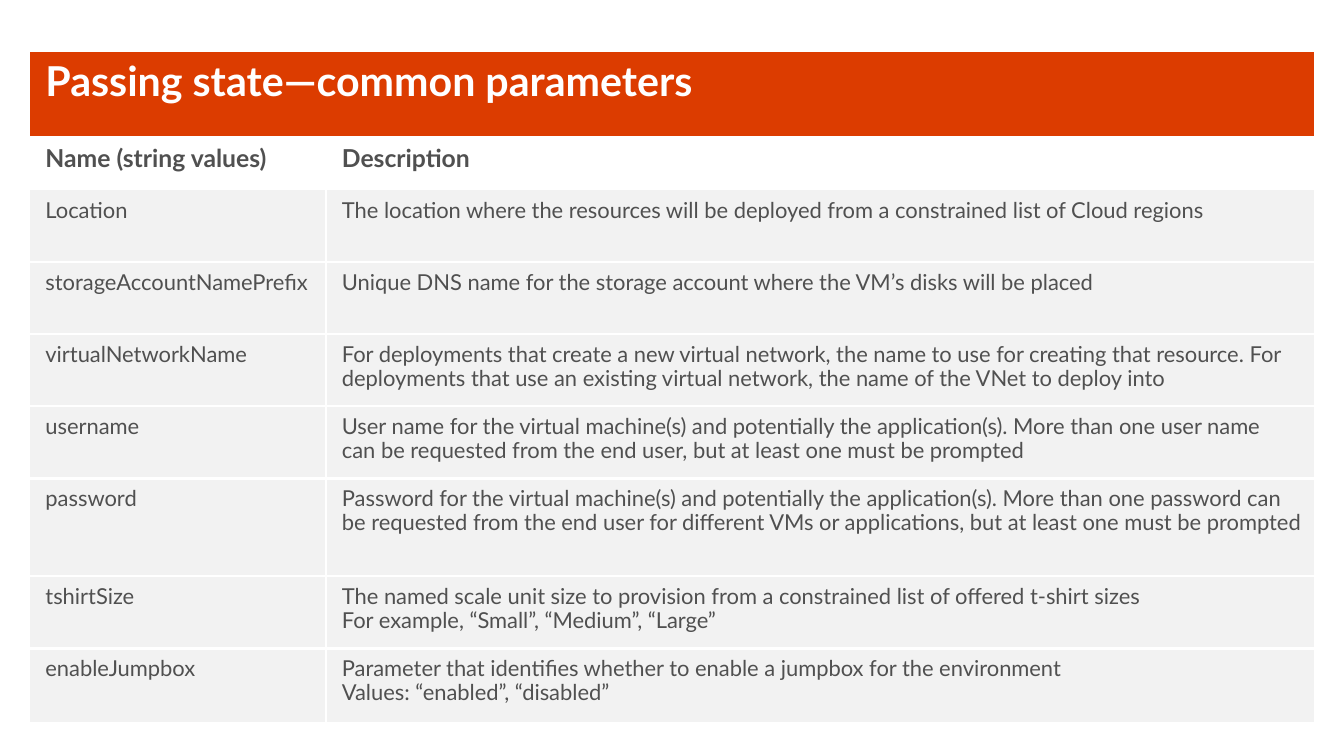
from dataclasses import dataclass

from lxml import etree
from pptx import Presentation
from pptx import util as u
from pptx.dml.color import RGBColor
from pptx.enum import text
from pptx.oxml.ns import qn
from pptx.table import _Cell

PX = 9144
FONT = "Lato"
WHITE, ORANGE, GREY, DARK = "FFFFFF", "DC3C00", "F2F2F2", "505050"
COLUMNS = [300, 680, 320]
SIDES = ["L", "R", "T", "B"]


@dataclass(frozen=True)
class Style:
    size: int
    color: str
    fill: str
    bold: bool


@dataclass(frozen=True)
class Parameter:
    name: str
    description: list[str]
    height: int = 73
    right_inset: int = 16


TITLE = Style(30, WHITE, ORANGE, True)
HEADING = Style(18, DARK, WHITE, True)
BODY = Style(16, DARK, GREY, False)

PARAMETERS = [
    Parameter("Location", ["The location where the resources will be deployed from a constrained list of Cloud regions"]),
    Parameter("storageAccountNamePrefix", ["Unique DNS name for the storage account where the VM’s disks will be placed"]),
    Parameter("virtualNetworkName", [
        "For deployments that create a new virtual network, the name to use for creating that resource. "
        "For deployments that use an existing virtual network, the name of the VNet to deploy into"]),
    Parameter("username", [
        "User name for the virtual machine(s) and potentially the application(s). More than one user "
        "name can be requested from the end user, but at least one must be prompted"]),
    Parameter("password", [
        "Password for the virtual machine(s) and potentially the application(s). More than one "
        "password can be requested from the end user for different VMs or applications, "
        "but at least one must be prompted"], 99, 10),
    Parameter("tshirtSize", [
        "The named scale unit size to provision from a constrained list of offered t-shirt sizes",
        "For example, “Small”, “Medium”, “Large”"]),
    Parameter("enableJumpbox", [
        "Parameter that identifies whether to enable a jumpbox for the environment",
        "Values: “enabled”, “disabled”"], 75),
]


def px(value: int) -> u.Emu:
    return u.Emu(value * PX)


def rgb(value: str) -> RGBColor:
    return RGBColor.from_string(value)


def set_borders(cell: _Cell, widths: dict[str, float]) -> None:
    tc_pr = cell._tc.get_or_add_tcPr()
    for side in SIDES:
        ln = etree.SubElement(tc_pr, qn(f"a:ln{side}"))
        if side in widths:
            ln.set("w", str(u.Pt(widths[side])))
            fill = etree.SubElement(ln, qn("a:solidFill"))
            etree.SubElement(fill, qn("a:srgbClr")).set("val", WHITE)
        else:
            ln.set("w", "0")
            etree.SubElement(ln, qn("a:noFill"))


def paint(cell: _Cell, style: Style, borders: dict[str, float]) -> None:
    set_borders(cell, borders)
    cell.fill.solid()
    cell.fill.fore_color.rgb = rgb(style.fill)


def write(cell: _Cell, lines: list[str], style: Style, right_inset: int = 16) -> None:
    cell.margin_left, cell.margin_right = px(16), px(right_inset)
    cell.margin_top = cell.margin_bottom = px(10)
    cell.vertical_anchor = text.MSO_ANCHOR.TOP
    tf = cell.text_frame
    for i, line in enumerate(lines):
        p = tf.add_paragraph() if i else tf.paragraphs[0]
        p.line_spacing = 0.9
        r = p.add_run()
        r.text = line
        r.font.name = FONT
        r.font.size = u.Pt(style.size)
        r.font.bold = style.bold
        r.font.color.rgb = rgb(style.color)


def body_borders(row: int, col: int) -> dict[str, float]:
    sides = {
        "L": col == 1,
        "R": col == 0,
        "T": row > 0,
        "B": row < len(PARAMETERS) - 1,
    }
    return {side: 2.25 for side, shown in sides.items() if shown}


def main() -> None:
    prs = Presentation()
    prs.slide_width, prs.slide_height = px(1360), px(765)
    slide = prs.slides.add_slide(prs.slide_layouts[6])
    heights = [86, 54] + [item.height for item in PARAMETERS]
    frame = slide.shapes.add_table(
        len(heights), len(COLUMNS), px(30), px(52), px(sum(COLUMNS)), px(sum(heights)))
    table = frame.table
    table.first_row = table.horz_banding = False
    for column, width in zip(table.columns, COLUMNS):
        column.width = px(width)
    for row, height in zip(table.rows, heights):
        row.height = px(height)

    for col in range(len(COLUMNS)):
        paint(table.cell(0, col), TITLE, {"T": 1})
        paint(table.cell(1, col), HEADING, {})
        for row in range(len(PARAMETERS)):
            paint(table.cell(row + 2, col), BODY, body_borders(row, col))

    table.cell(0, 0).merge(table.cell(0, 2))
    write(table.cell(0, 0), ["Passing state—common parameters"], TITLE)
    for col, heading in enumerate(["Name (string values)", "Description"]):
        write(table.cell(1, col), [heading], HEADING)
    for row, item in enumerate(PARAMETERS, start=2):
        table.cell(row, 1).merge(table.cell(row, 2))
        write(table.cell(row, 0), [item.name], BODY)
        write(table.cell(row, 1), item.description, BODY, item.right_inset)

    prs.save("out.pptx")


if __name__ == "__main__":
    main()
